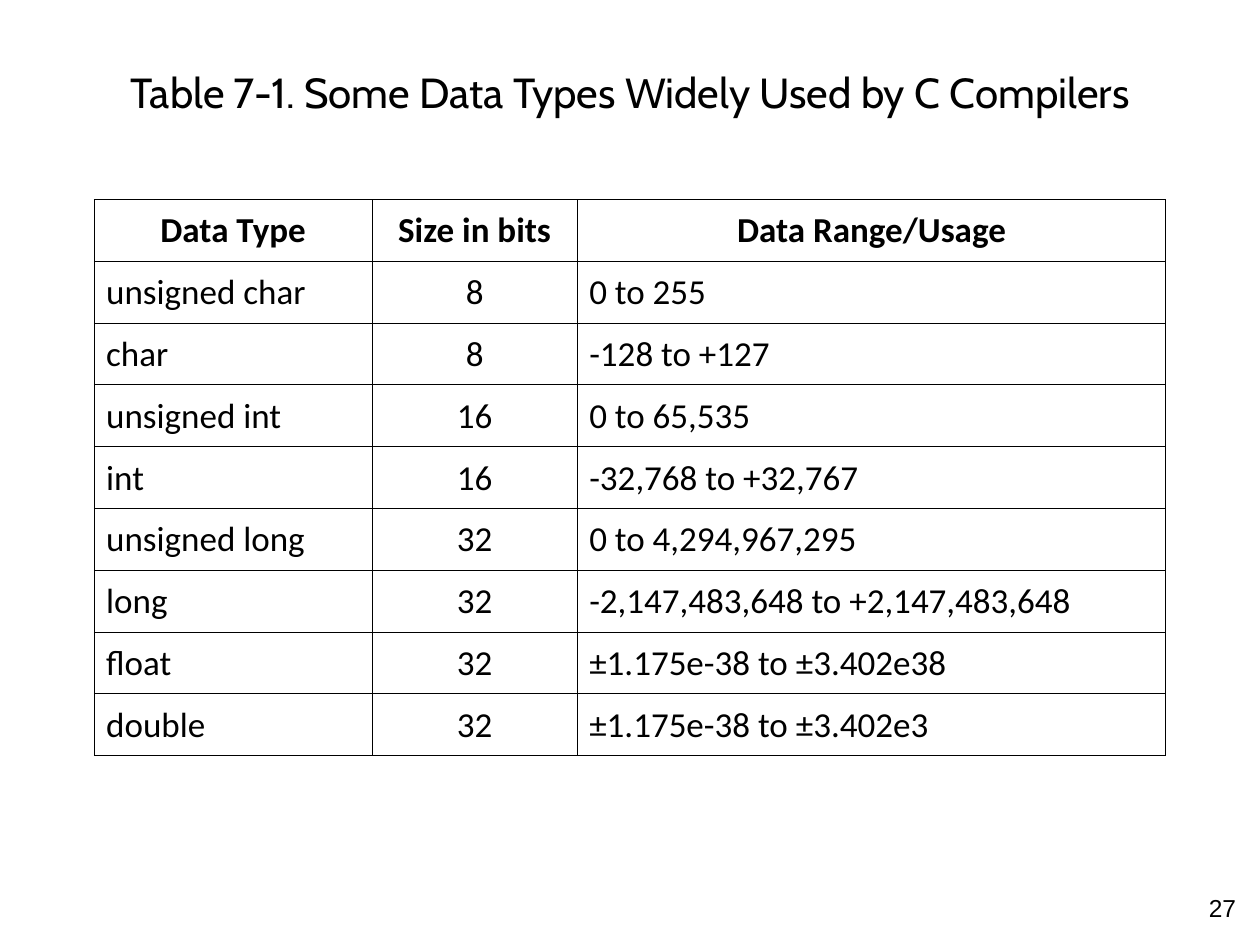
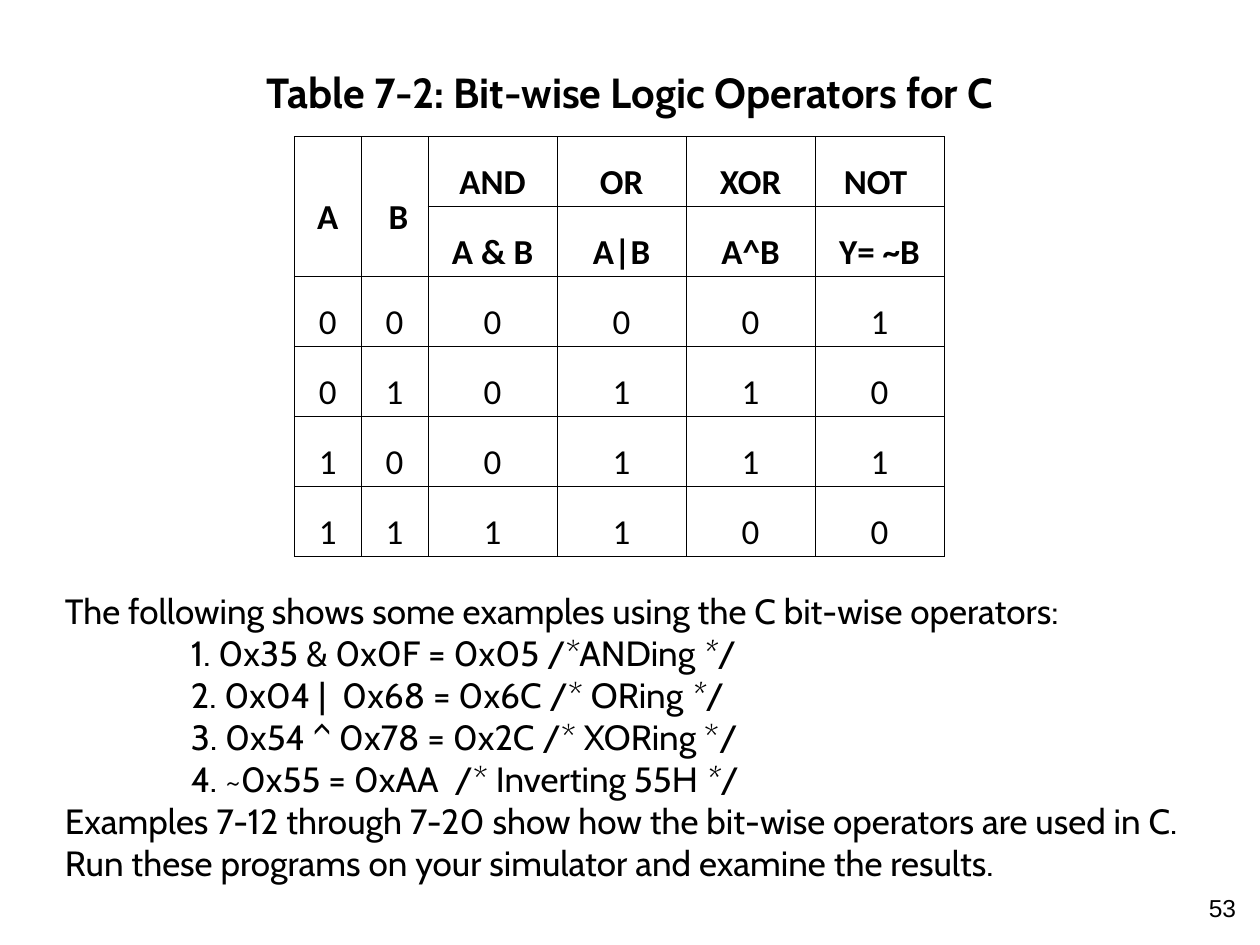
from collections import namedtuple
from dataclasses import dataclass

from lxml.etree import SubElement
from pptx import Presentation
from pptx.dml.color import RGBColor
from pptx.enum.text import MSO_ANCHOR, MSO_AUTO_SIZE, PP_ALIGN
from pptx.oxml.ns import qn
from pptx.util import Cm, Pt

Box = namedtuple("Box", "left top width height")


@dataclass(frozen=True)
class Theme:
    ink: RGBColor = RGBColor(0, 0, 0)
    paper: RGBColor = RGBColor(255, 255, 255)
    heading_font: str = "Cabin"
    table_font: str = "Calibri"
    number_font: str = "Arial"
    title_size: int = 24
    body_size: int = 20
    number_size: int = 14
    rule_width: float = 0.5


THEME = Theme()
TITLE_ONLY = 5
NUMBER_BOX = Box(19.25, 17.78, 5.92, 1.02)

DATA_TYPES = [
    ("Data Type", "Size in bits", "Data Range/Usage"),
    ("unsigned char", "8", "0 to 255"),
    ("char", "8", "-128 to +127"),
    ("unsigned int", "16", "0 to 65,535"),
    ("int", "16", "-32,768 to +32,767"),
    ("unsigned long", "32", "0 to 4,294,967,295"),
    ("long", "32", "-2,147,483,648 to +2,147,483,648"),
    ("float", "32", "±1.175e-38 to ±3.402e38"),
    ("double", "32", "±1.175e-38 to ±3.402e3"),
]

OPERATORS = [
    ("A", " B", "AND", "OR", "XOR", "NOT "),
    ("", "", "A & B", "A|B", "A^B", "Y= ~B"),
    *("000001", "010110", "100111", "111100"),
]

# Every second piece of a line is italic.
EXAMPLES = [
    ("1. 0x35 & 0x0F = 0x05 /*ANDing ", "*", "/"),
    ("2. 0x04 |  0x68 = 0x6C /* ORing ", "*", "/"),
    ("3. 0x54 ^ 0x78 = 0x2C /* XORing */",),
    ("4. ~0x55 = 0xAA  /* Inverting 55H ", "*", "/"),
]
INTRO = "The following shows some examples using the C bit-wise operators:"
CLOSING = ("Examples 7-12 through 7-20 show how the bit-wise operators are used in C. "
           "Run these programs on your simulator and examine the results.")


def in_cm(box):
    return [Cm(length) for length in box]


def format_runs(paragraph, font_name, size, bold=False):
    for run in paragraph.runs:
        run.font.name = font_name
        run.font.size = Pt(size)
        run.font.bold = bold
        run.font.color.rgb = THEME.ink


def add_title(slide, box, wording, bold=False):
    title = slide.shapes.title
    title.left, title.top, title.width, title.height = in_cm(box)
    frame = title.text_frame
    frame.text = wording
    frame.auto_size = MSO_AUTO_SIZE.NONE
    frame.vertical_anchor = MSO_ANCHOR.MIDDLE
    frame.paragraphs[0].alignment = PP_ALIGN.CENTER
    format_runs(frame.paragraphs[0], THEME.heading_font, THEME.title_size, bold)


def add_page_number(slide, box, number):
    frame = slide.shapes.add_textbox(*in_cm(box)).text_frame
    frame.word_wrap = True
    frame.vertical_anchor = MSO_ANCHOR.MIDDLE
    frame.text = str(number)
    frame.paragraphs[0].alignment = PP_ALIGN.RIGHT
    format_runs(frame.paragraphs[0], THEME.number_font, THEME.number_size)


def rule_cell(cell):
    """Draw a thin line on all four sides of a cell."""
    properties = cell._tc.get_or_add_tcPr()
    for position, side in enumerate(("a:lnL", "a:lnR", "a:lnT", "a:lnB")):
        line = SubElement(properties, qn(side), w=str(Pt(THEME.rule_width)))
        fill = SubElement(line, qn("a:solidFill"))
        SubElement(fill, qn("a:srgbClr"), val=str(THEME.ink))
        properties.insert(position, line)


def add_ruled_table(slide, box, rows, column_widths, header_rows, left_columns=(),
                    line_spacing=1.0, space_before=0, space_after=0):
    table = slide.shapes.add_table(len(rows), len(column_widths), *in_cm(box)).table
    table.first_row = table.horz_banding = False
    for column, width in zip(table.columns, column_widths):
        column.width = Cm(width)
    for r, values in enumerate(rows):
        table.rows[r].height = Cm(box.height / len(rows))
        is_header = r < header_rows
        for c, value in enumerate(values):
            cell = table.cell(r, c)
            is_left = c in left_columns and not is_header
            cell.fill.solid()
            cell.fill.fore_color.rgb = THEME.paper
            rule_cell(cell)
            cell.vertical_anchor = MSO_ANCHOR.MIDDLE
            cell.margin_left = Cm(0.24 if is_left else 0.02)
            cell.margin_right = cell.margin_top = Cm(0.02)
            cell.margin_bottom = 0
            cell.text = value
            paragraph = cell.text_frame.paragraphs[0]
            paragraph.alignment = PP_ALIGN.LEFT if is_left else PP_ALIGN.CENTER
            paragraph.line_spacing = line_spacing
            if space_before:
                paragraph.space_before = Pt(space_before)
            paragraph.space_after = Pt(space_after)
            format_runs(paragraph, THEME.table_font, THEME.body_size, is_header)
    return table


def add_examples(slide, box):
    frame = slide.shapes.add_textbox(*in_cm(box)).text_frame
    frame.word_wrap = True
    frame.auto_size = MSO_AUTO_SIZE.SHAPE_TO_FIT_TEXT
    for index, pieces in enumerate([(INTRO,), *EXAMPLES, (CLOSING,)]):
        paragraph = frame.add_paragraph() if index else frame.paragraphs[0]
        if pieces in EXAMPLES:
            paragraph._p.get_or_add_pPr().set("marL", str(Cm(2.54)))
        for position, piece in enumerate(pieces):
            run = paragraph.add_run()
            run.text = piece
            run.font.italic = position % 2 == 1
        format_runs(paragraph, THEME.heading_font, THEME.body_size)


def build_data_types(slide):
    add_title(slide, Box(0, 0.64, 25.4, 2.41),
              "Table 7-1. Some Data Types Widely Used by C Compilers")
    add_page_number(slide, NUMBER_BOX, 27)
    add_ruled_table(slide, Box(1.9, 4.02, 21.6, 11.22), DATA_TYPES, (5.6, 4.14, 11.86),
                    header_rows=1, left_columns=(0, 2), space_before=2, space_after=2)


def build_operators(slide):
    add_title(slide, Box(1.27, 0.64, 22.86, 2.41),
              "Table 7-2: Bit-wise Logic Operators for C", bold=True)
    table = add_ruled_table(slide, Box(5.93, 2.75, 13.1, 8.47), OPERATORS,
                            (1.35,) * 2 + (2.6,) * 4, header_rows=2,
                            line_spacing=1.5, space_after=5)
    for column in range(2):
        table.cell(0, column).merge(table.cell(1, column))
    add_page_number(slide, NUMBER_BOX, 53)
    add_examples(slide, Box(1.06, 11.76, 23.28, 6.25))


def main():
    deck = Presentation()
    deck.slide_width, deck.slide_height = Cm(25.4), Cm(19.05)
    for build in (build_data_types, build_operators):
        build(deck.slides.add_slide(deck.slide_layouts[TITLE_ONLY]))
    deck.save("out.pptx")


if __name__ == "__main__":
    main()
